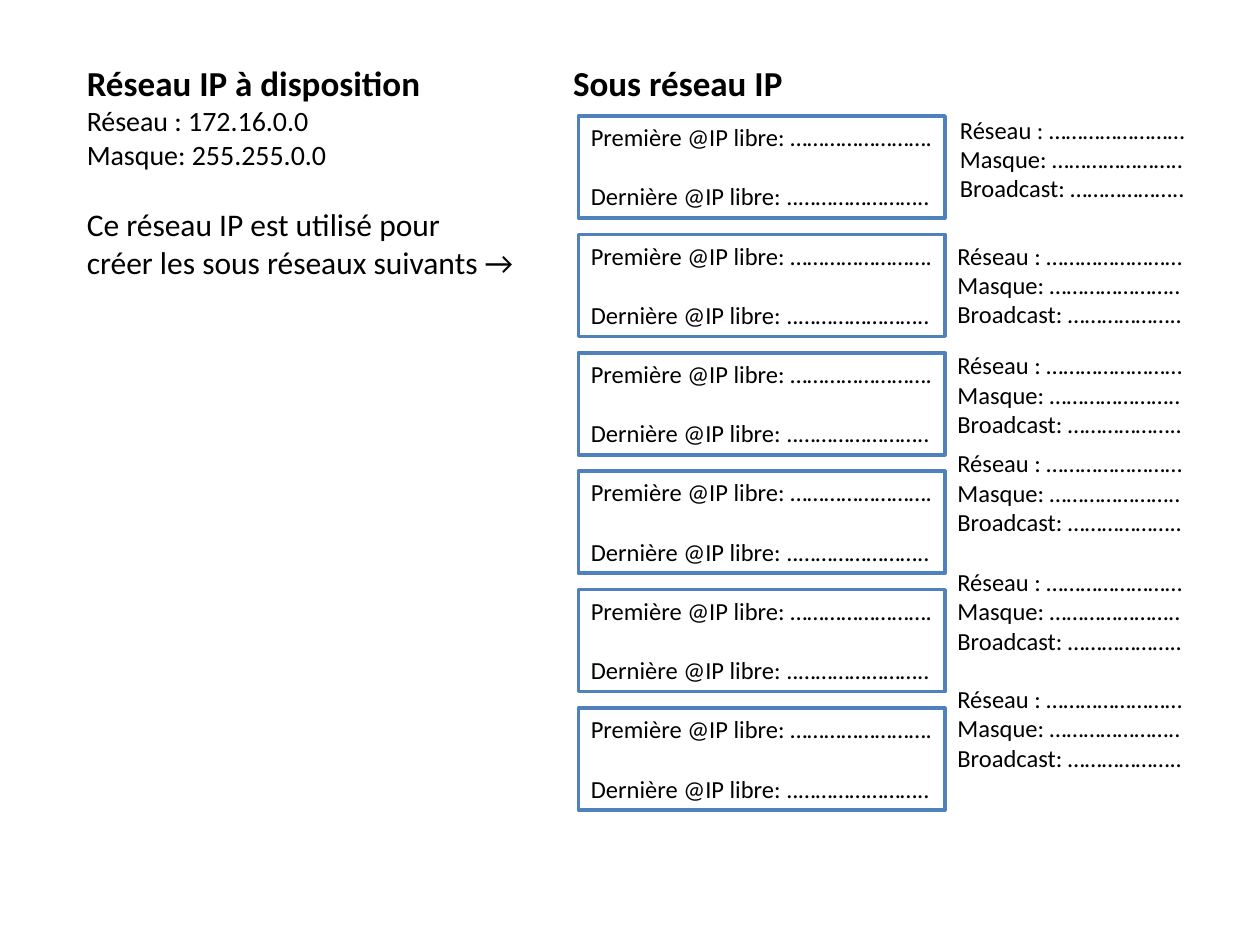
import pptx
import pptx.util
import pptx.dml.color
import pptx.enum.shapes
import pptx.enum.text

PX = 9144  # EMU per px, 100 px to the inch
COLORS = {"text": "000000", "box": "FFFFFF", "border": "4F81BD"}
FONT = "Calibri"
HEADING = {"size": 20, "bold": True}
DETAIL = {"size": 16}
NOTE = {"size": 18}
FIELD = {"size": 14}

HOST_LINES = [
    ("Première @IP libre: …………………….", FIELD, 0),
    ("Dernière @IP libre: ..…………………..", FIELD, 17),
]
NETWORK_LINES = [
    ("Réseau : ……………………", FIELD, 0),
    ("Masque: …………………..", FIELD, 0),
    ("Broadcast: ………………..", FIELD, 0),
]
AVAILABLE_LINES = [
    ("Réseau IP à disposition", HEADING, 0),
    ("Réseau : 172.16.0.0", DETAIL, 0),
    ("Masque: 255.255.0.0", DETAIL, 0),
    ("Ce réseau IP est utilisé pour", NOTE, 19.5),
    ("créer les sous réseaux suivants →", NOTE, 0),
]
SUBNET_COUNT = 6
SUBNET_PITCH = 94
NETWORK_POSITIONS = [(752, 86), (750, 186), (750, 273), (750, 351), (750, 445), (750, 538)]


def rgb(name):
    return pptx.dml.color.RGBColor.from_string(COLORS[name])


def emu(*lengths):
    return [pptx.util.Emu(n * PX) for n in lengths]


def write_lines(sp, lines, wrap):
    """Fill a shape with (text, font format, points before) lines."""
    tf = sp.text_frame
    tf.word_wrap = wrap
    tf.auto_size = pptx.enum.text.MSO_AUTO_SIZE.SHAPE_TO_FIT_TEXT
    tf.vertical_anchor = pptx.enum.text.MSO_ANCHOR.TOP
    for i, (text, fmt, before) in enumerate(lines):
        p = tf.add_paragraph() if i else tf.paragraphs[0]
        p.alignment = pptx.enum.text.PP_ALIGN.LEFT
        if before:
            p.space_before = pptx.util.Pt(before)
        r = p.add_run()
        r.text = text
        r.font.color.rgb = rgb("text")
        font = {"name": FONT, **fmt, "size": pptx.util.Pt(fmt["size"])}
        for key, value in font.items():
            setattr(r.font, key, value)


def add_text(s, box, lines):
    write_lines(s.shapes.add_textbox(*emu(*box)), lines, wrap=False)


def add_host_box(s, box):
    sp = s.shapes.add_shape(pptx.enum.shapes.MSO_SHAPE.RECTANGLE, *emu(*box))
    sp.shadow.inherit = False
    sp.fill.solid()
    sp.fill.fore_color.rgb = rgb("box")
    sp.line.color.rgb = rgb("border")
    sp.line.width = pptx.util.Pt(2)
    write_lines(sp, HOST_LINES, wrap=True)


def add_subnets(s, x, y):
    add_text(s, (x, y, 194, 44), [("Sous réseau IP", HEADING, 0)])
    for i in range(SUBNET_COUNT):
        add_host_box(s, (x + 14, y + 48 + i * SUBNET_PITCH, 291, 81))
    for left, top in NETWORK_POSITIONS:
        add_text(s, (left, top, 204, 81), NETWORK_LINES)


def main():
    prs = pptx.Presentation()
    prs.slide_width, prs.slide_height = emu(1000, 750)
    s = prs.slides.add_slide(prs.slide_layouts[6])
    add_text(s, (59, 44, 371, 185), AVAILABLE_LINES)
    add_subnets(s, 445, 44)
    prs.save("out.pptx")


if __name__ == "__main__":
    main()
